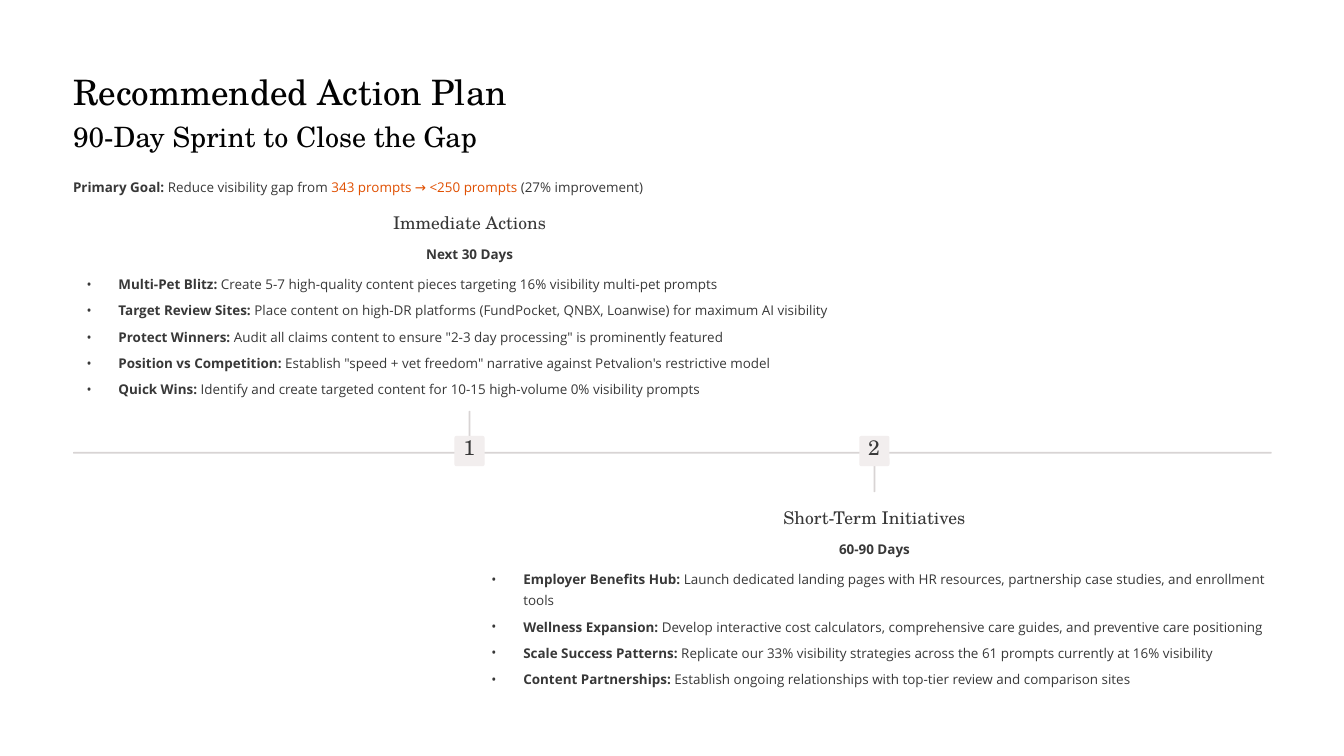
from lxml.etree import SubElement
from pptx import Presentation
from pptx.dml.color import RGBColor
from pptx.enum.shapes import MSO_SHAPE as Shape
from pptx.enum.text import MSO_ANCHOR as Anchor, PP_ALIGN as Align
from pptx.oxml.ns import qn
from pptx.util import Emu, Pt

SERIF, SANS = "TeX Gyre Schola", "Open Sans"
BLACK, INK, ORANGE = "020202", "383838", "E04F00"
RULE, BADGE, WHITE = "D8D4D4", "F2EEEE", "FFFFFF"
PX = 9144
ROW_STEP, LINE = 31.3, 25.7


def color(value):
    return RGBColor.from_string(value)


class Timeline:
    """Draws the parts of a two-phase action plan on one page."""

    def __init__(self, deck):
        self.page = deck.slides.add_slide(deck.slide_layouts[6])
        background = self.page.background.fill
        background.solid()
        background.fore_color.rgb = color(WHITE)

    def place(self, *lengths):
        return [Emu(length * PX) for length in lengths]

    def text(self, left, top, width, height, spans, size=11.5, font=SANS,
             leading=18.5, align=Align.LEFT):
        box = self.page.shapes.add_textbox(*self.place(left, top, width, height))
        frame = box.text_frame
        frame.margin_left = frame.margin_top = 0
        frame.margin_right = frame.margin_bottom = 0
        frame.word_wrap = True
        frame.vertical_anchor = Anchor.TOP
        para = frame.paragraphs[0]
        para.alignment = align
        para.line_spacing = Pt(leading)
        for words, ink, bold in spans:
            span = para.add_run()
            span.text = words
            span.font.name = font
            span.font.size = Pt(size)
            span.font.bold = bold
            span.font.color.rgb = color(ink)
        return para

    def bullet(self, left, top, label, detail, lines):
        para = self.text(left, top, 922, round(LINE * lines),
                         [(label, INK, True), (" " + detail, INK, False)])
        properties = para._p.get_or_add_pPr()
        properties.set("marL", str(38 * PX))
        properties.set("indent", str(-38 * PX))
        SubElement(properties, qn("a:buFont"), typeface=SANS)
        SubElement(properties, qn("a:buChar"), char="•")

    def block(self, left, top, width, height, fill, rounding):
        shape = self.page.shapes.add_shape(
            Shape.ROUNDED_RECTANGLE, *self.place(left, top, width, height))
        shape.adjustments[0] = rounding
        shape.shadow.inherit = False
        shape.fill.solid()
        shape.fill.fore_color.rgb = color(fill)
        shape.line.fill.background()

    def rule(self, left, top, width, height):
        self.block(left, top, width, height, RULE, 0.5)

    def phase(self, number, left, top, stem_top, heading, period, items):
        self.rule(left + 455, stem_top, 2, 48)
        self.block(left + 438, 519, 36, 36, BADGE, 0.067)
        self.text(left + 443, 522, 25, 32, [(number, INK, False)],
                  18, SERIF, 18, Align.CENTER)
        self.text(left + 341, top, 230, 26, [(heading, INK, False)],
                  15, SERIF, 19, Align.CENTER)
        self.text(left, top + 36, 912, 26, [(period, INK, True)],
                  align=Align.CENTER)
        offset = top + 71
        for label, detail, lines in items:
            self.bullet(left, round(offset), label, detail, lines)
            offset += ROW_STEP + LINE * (lines - 1)


IMMEDIATE = [
    ("Multi-Pet Blitz:", "Create 5-7 high-quality content pieces targeting 16% visibility multi-pet prompts", 1),
    ("Target Review Sites:", "Place content on high-DR platforms (FundPocket, QNBX, Loanwise) for maximum AI visibility", 1),
    ("Protect Winners:", "Audit all claims content to ensure \"2-3 day processing\" is prominently featured", 1),
    ("Position vs Competition:", "Establish \"speed + vet freedom\" narrative against Petvalion's restrictive model", 1),
    ("Quick Wins:", "Identify and create targeted content for 10-15 high-volume 0% visibility prompts", 1),
]
SHORT_TERM = [
    ("Employer Benefits Hub:", "Launch dedicated landing pages with HR resources, partnership case studies, and enrollment tools", 2),
    ("Wellness Expansion:", "Develop interactive cost calculators, comprehensive care guides, and preventive care positioning", 1),
    ("Scale Success Patterns:", "Replicate our 33% visibility strategies across the 61 prompts currently at 16% visibility", 1),
    ("Content Partnerships:", "Establish ongoing relationships with top-tier review and comparison sites", 1),
]
GOAL = [
    ("Primary Goal:", INK, True),
    (" Reduce visibility gap from ", INK, False),
    ("343 prompts → <250 prompts", ORANGE, False),
    (" (27% improvement)", INK, False),
]


def main():
    deck = Presentation()
    deck.slide_width, deck.slide_height = Emu(1600 * PX), Emu(900 * PX)
    plan = Timeline(deck)
    plan.text(87, 81, 540, 53, [("Recommended Action Plan", BLACK, False)], 30, SERIF, 38)
    plan.text(87, 140, 500, 42, [("90-Day Sprint to Close the Gap", BLACK, False)], 24, SERIF, 30)
    plan.text(87, 207, 1427, 26, GOAL)
    plan.rule(87, 538, 1427, 2)
    plan.phase("1", 103, 251, 489, "Immediate Actions", "Next 30 Days", IMMEDIATE)
    plan.phase("2", 585, 602, 538, "Short-Term Initiatives", "60-90 Days", SHORT_TERM)
    deck.save("out.pptx")


if __name__ == "__main__":
    main()
